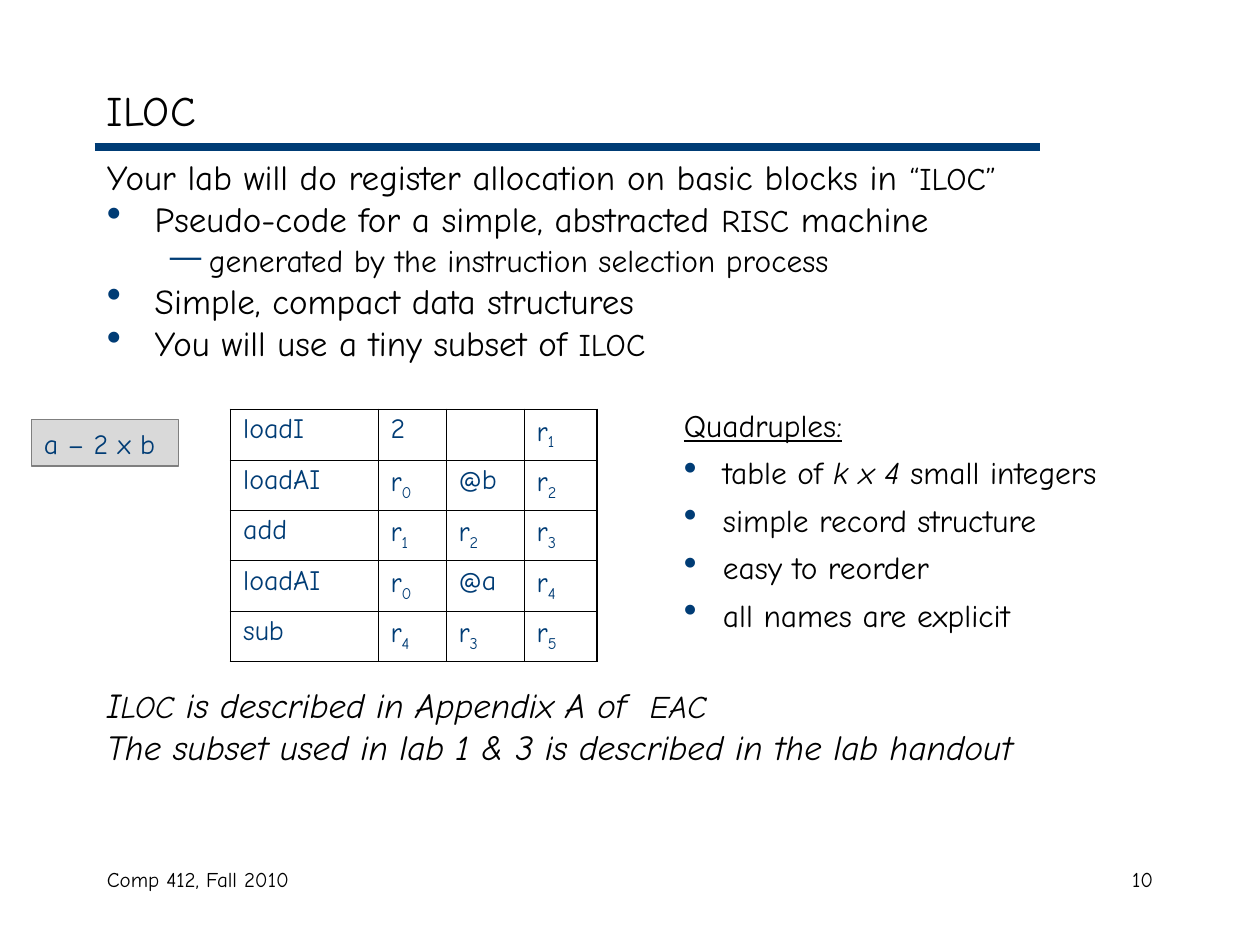
from lxml.etree import SubElement
from pptx import Presentation
from pptx.dml.color import RGBColor
from pptx.enum.shapes import MSO_CONNECTOR, MSO_SHAPE
from pptx.enum.text import MSO_ANCHOR, PP_ALIGN
from pptx.oxml.ns import qn
from pptx.util import Inches, Pt

FONT = "Comic Neue"
BLACK, NAVY = "000000", "003C75"
DOT, DASH = ("•", 120, 0.38, 0.38), ("—", 100, 0.81, 0.31)
SMALL = ("•", 120, 0.31, 0.31)


def color(code):
    return RGBColor.from_string(code)


def bullet(para, mark):
    char, size, left, hang = mark
    props = para._p.get_or_add_pPr()
    props.set("marL", str(Inches(left)))
    props.set("indent", str(-Inches(hang)))
    tint = SubElement(props, qn("a:buClr"))
    SubElement(tint, qn("a:srgbClr"), val=NAVY)
    SubElement(props, qn("a:buSzPct"), val=str(size * 1000))
    SubElement(props, qn("a:buChar"), char=char)


def write(para, runs, size, tint=BLACK, mark=None, space=0, line=None):
    if mark:
        bullet(para, mark)
    para.space_before = Pt(space)
    if line:
        para.line_spacing = line
    font = para.font
    font.name, font.size = FONT, Pt(size)
    font.color.rgb = color(tint)
    made = []
    for text in runs:
        run = para.add_run()
        run.text = text
        made.append(run)
    return made


def text_box(slide, box):
    frame = slide.shapes.add_textbox(*map(Inches, box)).text_frame
    frame.word_wrap = True
    return frame


def paras(frame, count):
    for _ in range(count - 1):
        frame.add_paragraph()
    return frame.paragraphs


def header(slide, box):
    left, top, width, height = box
    frame = text_box(slide, box)
    frame.vertical_anchor = MSO_ANCHOR.MIDDLE
    write(frame.paragraphs[0], ["ILOC"], 24)
    y = Inches(top + height + 0.01)
    rule = slide.shapes.add_connector(
        MSO_CONNECTOR.STRAIGHT, Inches(left), y, Inches(left + width - 1), y)
    rule.line.color.rgb = color(NAVY)
    rule.line.width = Pt(4.5)
    SubElement(rule._element.spPr, qn("a:effectLst"))


def body(slide, box, rows):
    frame = text_box(slide, box)
    for para, (runs, size, mark, slant) in zip(paras(frame, len(rows)), rows):
        made = write(para, runs, size, mark=mark, space=5, line=0.8)
        if slant:
            para.font.italic = True
        for run in made:
            if run.text.strip("“”") in ("ILOC", "LOC", "RISC", "EAC"):
                run.font.size = Pt(18)


def formula(slide, box):
    shape = slide.shapes.add_shape(MSO_SHAPE.RECTANGLE, *map(Inches, box))
    shape.shadow.inherit = False
    shape.fill.solid()
    shape.fill.fore_color.rgb = color("D9D9D9")
    shape.line.color.rgb = color("7F7F7F")
    shape.line.width = Pt(0.75)
    para = shape.text_frame.paragraphs[0]
    para.alignment = PP_ALIGN.LEFT
    write(para, ["a – 2 x b"], 16, NAVY)


def border(cell, edges):
    props = cell._tc.get_or_add_tcPr()
    for side, outer in edges:
        width = Pt(1.08 if outer else 0.45)
        line = SubElement(props, qn("a:ln" + side), w=str(width))
        fill = SubElement(line, qn("a:solidFill"))
        SubElement(fill, qn("a:srgbClr"), val=BLACK)


def code(slide, box):
    rows = [line.split(",") for line in (
        "loadI,2,,r1", "loadAI,r0,@b,r2", "add,r1,r2,r3",
        "loadAI,r0,@a,r4", "sub,r4,r3,r5")]
    count, wide = len(rows), len(rows[0])
    table = slide.shapes.add_table(count, wide, *map(Inches, box)).table
    for col, width in zip(table.columns, (1.17, 0.54, 0.62, 0.58)):
        col.width = Inches(width)
    for y, row in enumerate(rows):
        for x, text in enumerate(row):
            cell = table.cell(y, x)
            border(cell, (("L", x == 0), ("R", x == wide - 1),
                          ("T", y == 0), ("B", y == count - 1)))
            cell.fill.background()
            sub = text[:1] == "r"
            runs = list(text) if sub else [text] if text else []
            made = write(cell.text_frame.paragraphs[0], runs, 16, NAVY, line=0.9)
            if sub:
                made[1].font._element.set("baseline", "-25000")


def notes(slide, box):
    rows = (["Quadruples:"], ["table of ", "k x 4", " small integers"],
            ["simple record structure"], ["easy to reorder"],
            ["all names are explicit"])
    lines = paras(text_box(slide, box), len(rows))
    for i, (para, runs) in enumerate(zip(lines, rows)):
        made = write(para, runs, 18, mark=SMALL if i else None,
                     space=5.6 if i else 11.2)
        if not i:
            para.font.underline = True
        if len(made) > 1:
            made[1].font.italic = True


def footer(slide, box):
    left, top, width, height = box
    parts = (("Comp 412, Fall 2010", left, 3.17, PP_ALIGN.LEFT),
             ("10", left + width - 2.08, 2.08, PP_ALIGN.RIGHT))
    for text, x, wide, align in parts:
        para = text_box(slide, (x, top, wide, height)).paragraphs[0]
        para.alignment = align
        write(para, [text], 12)


deck = Presentation()
deck.slide_width, deck.slide_height = Inches(10), Inches(7.5)
slide = deck.slides.add_slide(deck.slide_layouts[6])
header(slide, (0.75, 0.58, 8.5, 0.58))
body(slide, (0.75, 1.25, 8.5, 1.75), (
    (["Your lab will do register allocation on basic blocks in ", "“ILOC”"],
     20, None, False),
    (["Pseudo-code for a simple, abstracted ", "RISC", " machine"],
     20, DOT, False),
    (["generated by the instruction selection process"], 18, DASH, False),
    (["Simple, compact data structures"], 20, DOT, False),
    (["You will use a tiny subset of ", "ILOC"], 20, DOT, False)))
body(slide, (0.75, 5.44, 8.5, 0.8), (
    (["I", "LOC", " is described in Appendix A of  ", "EAC"], 20, None, True),
    (["The subset used in lab 1 & 3 is described in the lab handout"],
     20, None, True)))
formula(slide, (0.25, 3.33, 1.17, 0.37))
code(slide, (1.83, 3.25, 2.91, 2))
notes(slide, (5.33, 3.17, 4, 1.91))
footer(slide, (0.75, 6.83, 8.5, 0.5))
deck.save("out.pptx")
